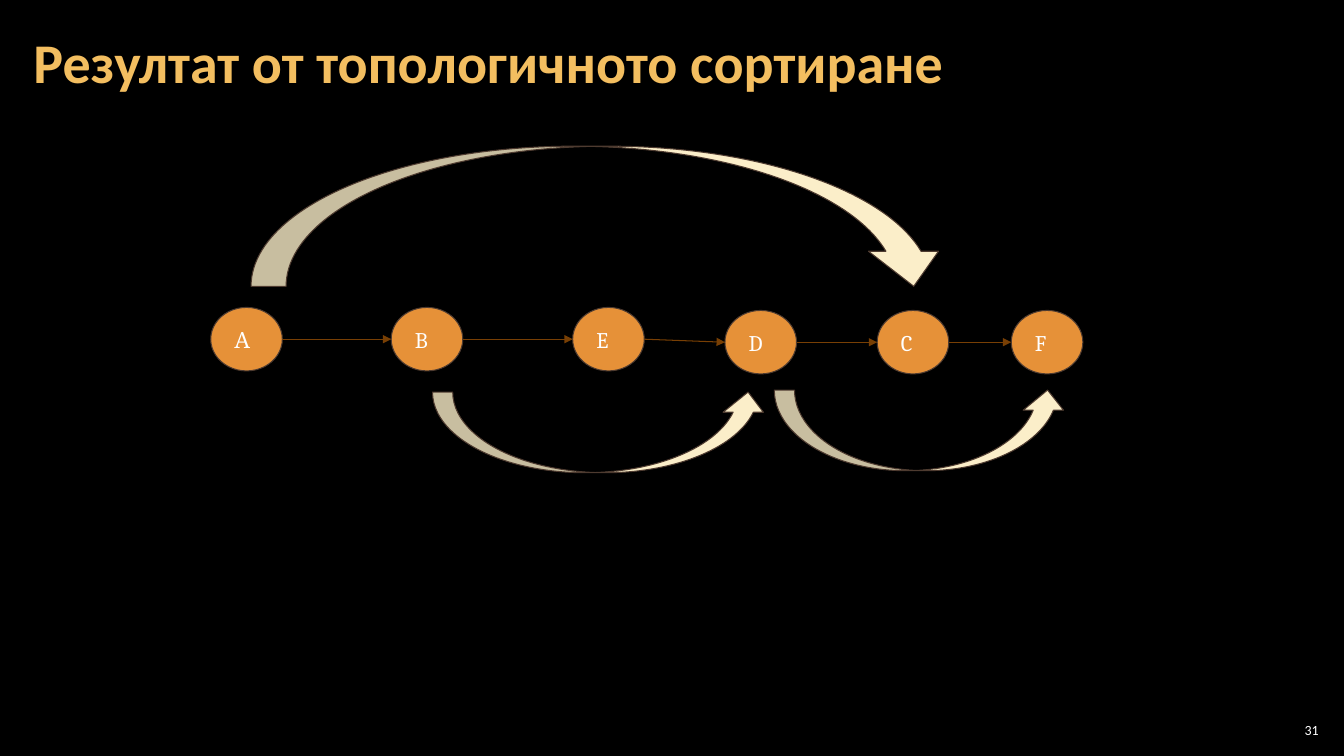
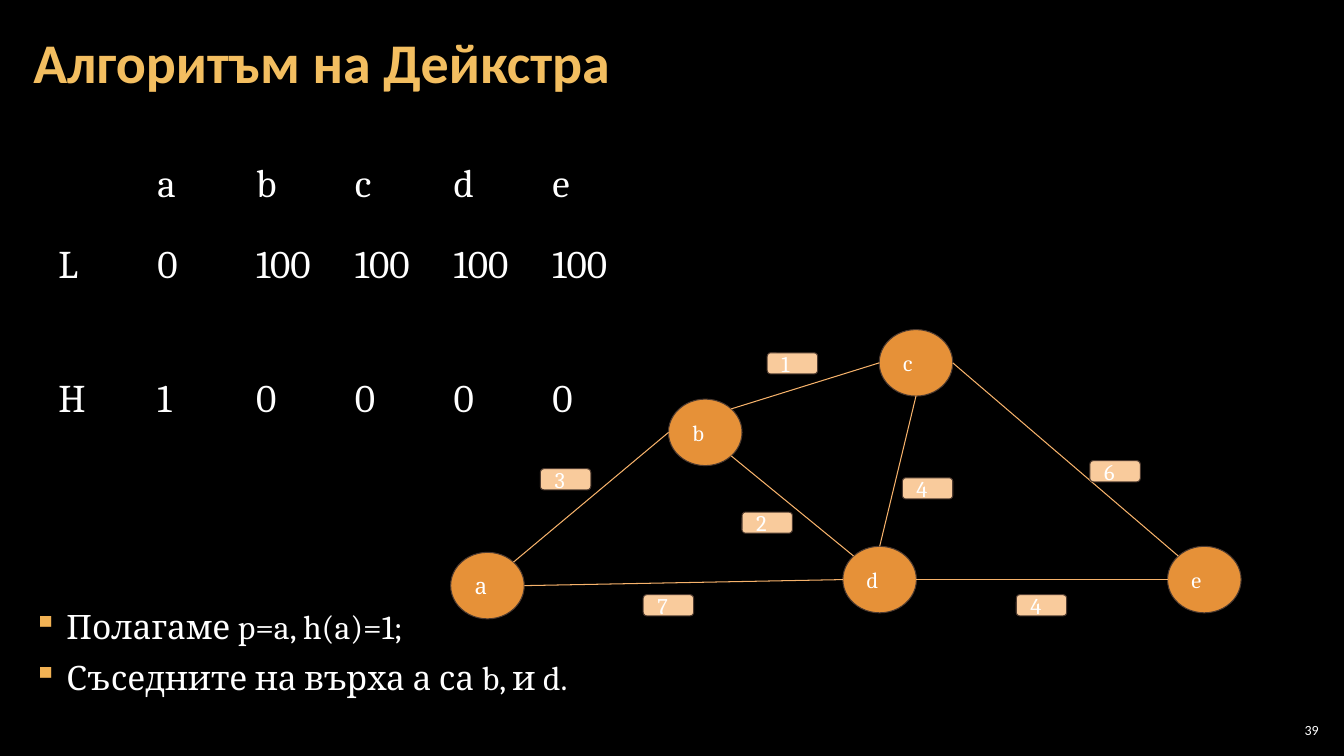
from math import cos, radians, sin

from lxml.etree import SubElement
from pptx import Presentation
from pptx.dml.color import RGBColor
from pptx.enum.shapes import MSO_CONNECTOR, MSO_SHAPE
from pptx.enum.text import MSO_ANCHOR, PP_ALIGN
from pptx.oxml.ns import qn
from pptx.util import Inches, Pt

# Shared colours and fonts
BLACK = RGBColor(0x00, 0x00, 0x00)
WHITE = RGBColor(0xFF, 0xFF, 0xFF)
GOLD = RGBColor(0xF3, 0xBE, 0x60)
ORANGE = RGBColor(0xE6, 0x91, 0x38)
PEACH = RGBColor(0xF9, 0xCB, 0x9C)
CREAM = RGBColor(0xFB, 0xEE, 0xC9)
OUTLINE = RGBColor(0x4E, 0x3B, 0x30)
ARROW_BROWN = RGBColor(0x78, 0x3F, 0x04)
EDGE_ORANGE = RGBColor(0xF6, 0xB2, 0x6B)
BULLET_COLOR = "F2B254"
HEADING_FONT = "Calibri"
BODY_FONT = "Cambria"
NO_GRID_STYLE = "{2D5ABB26-0587-4C30-8999-92F81FD0307C}"

# Connection sites of an ellipse run anticlockwise from the top in 45° steps
TOP, TOP_LEFT, LEFT, _, BOTTOM, BOTTOM_RIGHT, RIGHT, TOP_RIGHT = range(8)


def add_bullet(paragraph, indent=0.33):
    props = paragraph._p.get_or_add_pPr()
    props.set("marL", str(Inches(indent)))
    props.set("indent", str(-Inches(indent)))
    color = SubElement(props, qn("a:buClr"))
    SubElement(color, qn("a:srgbClr"), val=BULLET_COLOR)
    SubElement(props, qn("a:buChar"), char="▪")


def write_text(frame, *lines, size=16, font=BODY_FONT, color=WHITE, bold=False,
               align=PP_ALIGN.LEFT, anchor=MSO_ANCHOR.MIDDLE, inset=(0.13, 0.13),
               line_spacing=None, space_after=None, bullets=False):
    frame.word_wrap = True
    frame.vertical_anchor = anchor
    frame.margin_left = frame.margin_right = Inches(inset[0])
    frame.margin_top = frame.margin_bottom = Inches(inset[1])
    for index, line in enumerate(lines):
        paragraph = frame.add_paragraph() if index else frame.paragraphs[0]
        paragraph.alignment = align
        if line_spacing:
            paragraph.line_spacing = line_spacing
        if space_after is not None:
            paragraph.space_after = Pt(space_after)
        if bullets:
            add_bullet(paragraph)
        run = paragraph.add_run()
        run.text = line
        run.font.size = Pt(size)
        run.font.name = font
        run.font.bold = bold
        run.font.color.rgb = color


def add_titled_slide(prs, title, number):
    slide = prs.slides.add_slide(prs.slide_layouts[5])
    heading = slide.shapes.title
    heading.left, heading.top = Inches(0.21), Inches(0.04)
    heading.width, heading.height = Inches(12.91), Inches(1.21)
    write_text(heading.text_frame, title, size=40, font=HEADING_FONT, color=GOLD,
               bold=True, inset=(0.12, 0.04), line_spacing=0.9)
    page = slide.shapes.add_textbox(Inches(12.65), Inches(7.14), Inches(0.47), Inches(0.21))
    write_text(page.text_frame, str(number), size=10, font=HEADING_FONT,
               align=PP_ALIGN.RIGHT, inset=(0.04, 0.04))
    return slide


def add_figure(slide, preset, left, top, width, height, fill):
    figure = slide.shapes.add_shape(preset, Inches(left), Inches(top),
                                    Inches(width), Inches(height))
    figure.shadow.inherit = False
    figure.fill.solid()
    figure.fill.fore_color.rgb = fill
    figure.line.color.rgb = OUTLINE
    figure.line.width = Pt(0.75)
    return figure


def add_nodes(slide, places, width, height):
    nodes = {}
    for name, (left, top) in places.items():
        nodes[name] = add_figure(slide, MSO_SHAPE.OVAL, left, top, width, height, ORANGE)
        write_text(nodes[name].text_frame, name)
    return nodes


def site_point(node, site):
    angle = radians(90 + 45 * site)
    return (round(node.left + node.width * (1 + cos(angle)) / 2),
            round(node.top + node.height * (1 - sin(angle)) / 2))


def add_edge(slide, start, start_site, end, end_site, color, arrow=False):
    edge = slide.shapes.add_connector(MSO_CONNECTOR.STRAIGHT,
                                      *site_point(start, start_site),
                                      *site_point(end, end_site))
    edge.line.color.rgb = color
    edge.line.width = Pt(0.75)
    # Glue both ends to their nodes
    links = edge._element.find(qn("p:nvCxnSpPr")).find(qn("p:cNvCxnSpPr"))
    SubElement(links, qn("a:stCxn"), id=str(start.shape_id), idx=str(start_site))
    SubElement(links, qn("a:endCxn"), id=str(end.shape_id), idx=str(end_site))
    if arrow:
        SubElement(edge.line._get_or_add_ln(), qn("a:tailEnd"), type="triangle")
    SubElement(edge._element.spPr, qn("a:effectLst"))


def add_weight(slide, weight, left, top):
    label = add_figure(slide, MSO_SHAPE.ROUNDED_RECTANGLE, left, top, 0.5, 0.21, PEACH)
    write_text(label.text_frame, str(weight))


def add_value_table(slide, rows, left, top, column_widths, row_heights):
    frame = slide.shapes.add_table(len(rows), len(column_widths), Inches(left), Inches(top),
                                   Inches(sum(column_widths)), Inches(sum(row_heights)))
    table = frame.table
    table.first_row = table.horz_banding = False
    table._tbl.tblPr.find(qn("a:tableStyleId")).text = NO_GRID_STYLE
    for column, width in zip(table.columns, column_widths):
        column.width = Inches(width)
    for row, height, values in zip(table.rows, row_heights, rows):
        row.height = Inches(height)
        for cell, value in zip(row.cells, values):
            cell.fill.background()
            cell.margin_left = cell.margin_right = Inches(0.13)
            cell.margin_top = cell.margin_bottom = Inches(0.13)
            if value:
                write_text(cell.text_frame, value, size=28, anchor=MSO_ANCHOR.TOP)


def build_topological_order(prs):
    slide = add_titled_slide(prs, "Резултат от топологичното сортиране", 31)

    # Sorted vertices, each pointing to the next
    nodes = add_nodes(slide, {
        "А": (2.09, 3.05), "B": (3.88, 3.05), "E": (5.68, 3.05),
        "D": (7.19, 3.08), "C": (8.7, 3.08), "F": (10.03, 3.08),
    }, 0.71, 0.63)
    ordered = list(nodes.values())
    for current, following in zip(ordered, ordered[1:]):
        add_edge(slide, current, RIGHT, following, LEFT, ARROW_BROWN, arrow=True)

    # Remaining arcs of the graph
    for preset, *box in (
        (MSO_SHAPE.CURVED_DOWN_ARROW, 2.49, 1.45, 6.92, 1.39),
        (MSO_SHAPE.CURVED_UP_ARROW, 4.29, 3.89, 3.33, 0.8),
        (MSO_SHAPE.CURVED_UP_ARROW, 7.68, 3.87, 2.91, 0.8),
    ):
        add_figure(slide, preset, *box, CREAM)


def build_dijkstra(prs):
    slide = add_titled_slide(prs, "Алгоритъм на Дейкстра", 39)

    # Current step
    steps = slide.shapes.add_textbox(Inches(0.21), Inches(5.95), Inches(6.5), Inches(1.1))
    write_text(steps.text_frame, "Полагаме p=a, h(a)=1;", "Съседните на върха а са b, и d.",
               size=24, align=PP_ALIGN.JUSTIFY, anchor=MSO_ANCHOR.TOP, inset=(0.12, 0.04),
               line_spacing=1.05, space_after=6, bullets=True)

    # Weighted graph
    nodes = add_nodes(slide, {
        "а": (4.47, 5.48), "b": (6.63, 3.96), "c": (8.72, 3.27),
        "d": (8.36, 5.42), "e": (11.58, 5.42),
    }, 0.73, 0.66)
    for start, start_site, end, end_site, weight, left, top in (
        ("а", TOP_RIGHT, "b", LEFT, 3, 5.36, 4.65),
        ("b", BOTTOM_RIGHT, "d", TOP_LEFT, 2, 7.36, 5.08),
        ("а", RIGHT, "d", LEFT, 7, 6.38, 5.9),
        ("b", TOP_RIGHT, "c", LEFT, 1, 7.61, 3.5),
        ("d", TOP, "c", BOTTOM, 4, 8.95, 4.74),
        ("c", RIGHT, "e", TOP_LEFT, 6, 10.81, 4.57),
        ("d", RIGHT, "e", LEFT, 4, 10.08, 5.9),
    ):
        add_edge(slide, nodes[start], start_site, nodes[end], end_site, EDGE_ORANGE)
        add_weight(slide, weight, left, top)

    # Distances and visited marks
    add_value_table(slide, [
        ["", "a", "b", "c", "d", "e"],
        ["L", "0", "100", "100", "100", "100"],
        ["H", "1", "0", "0", "0", "0"],
    ], 0.45, 1.48, [0.98] * 5 + [1.03], [0.8, 1.33, 0.8])


def main():
    prs = Presentation()
    prs.slide_width, prs.slide_height = Inches(13.33), Inches(7.5)
    background = prs.slide_master.background.fill
    background.solid()
    background.fore_color.rgb = BLACK
    build_topological_order(prs)
    build_dijkstra(prs)
    prs.save("out.pptx")


if __name__ == "__main__":
    main()
